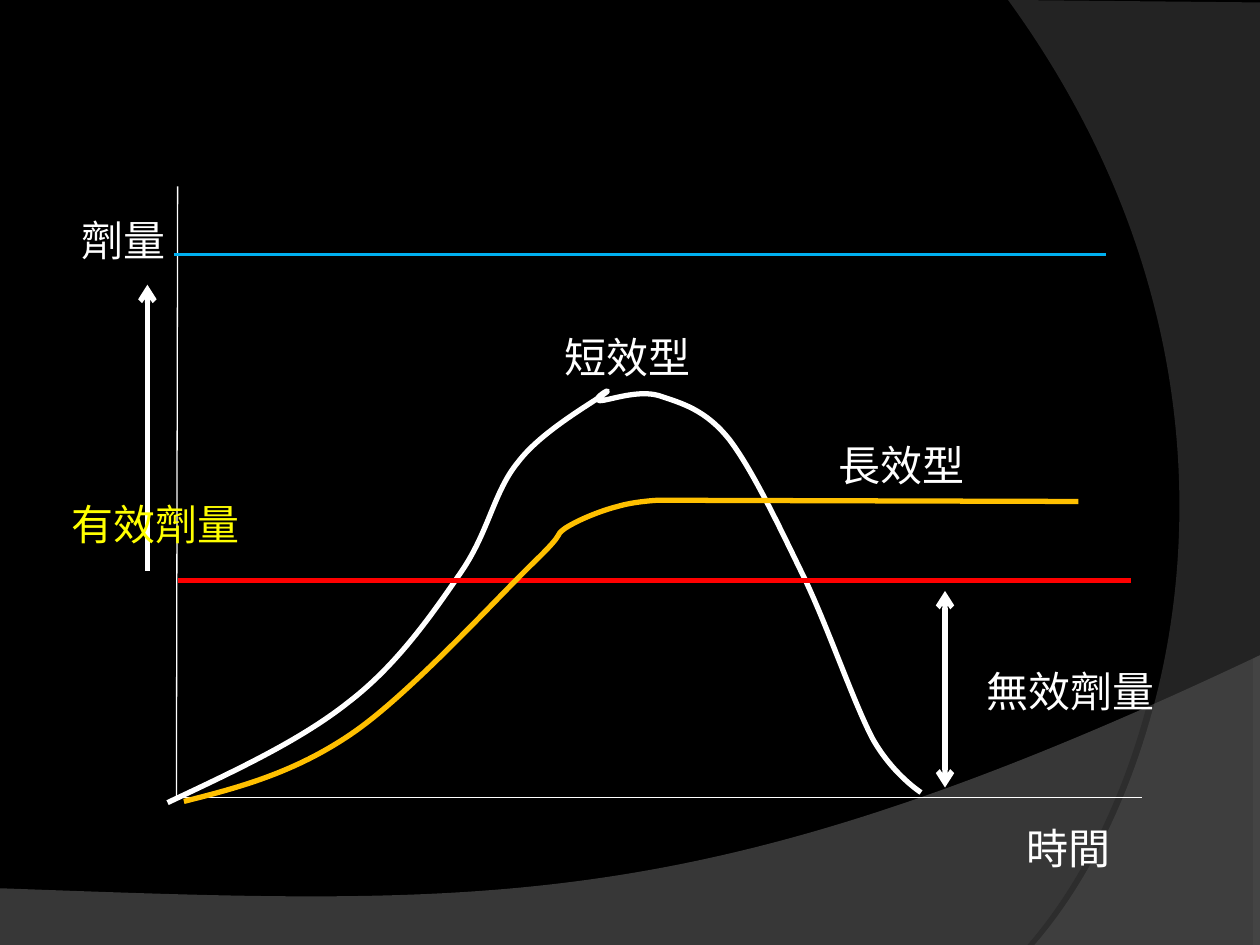
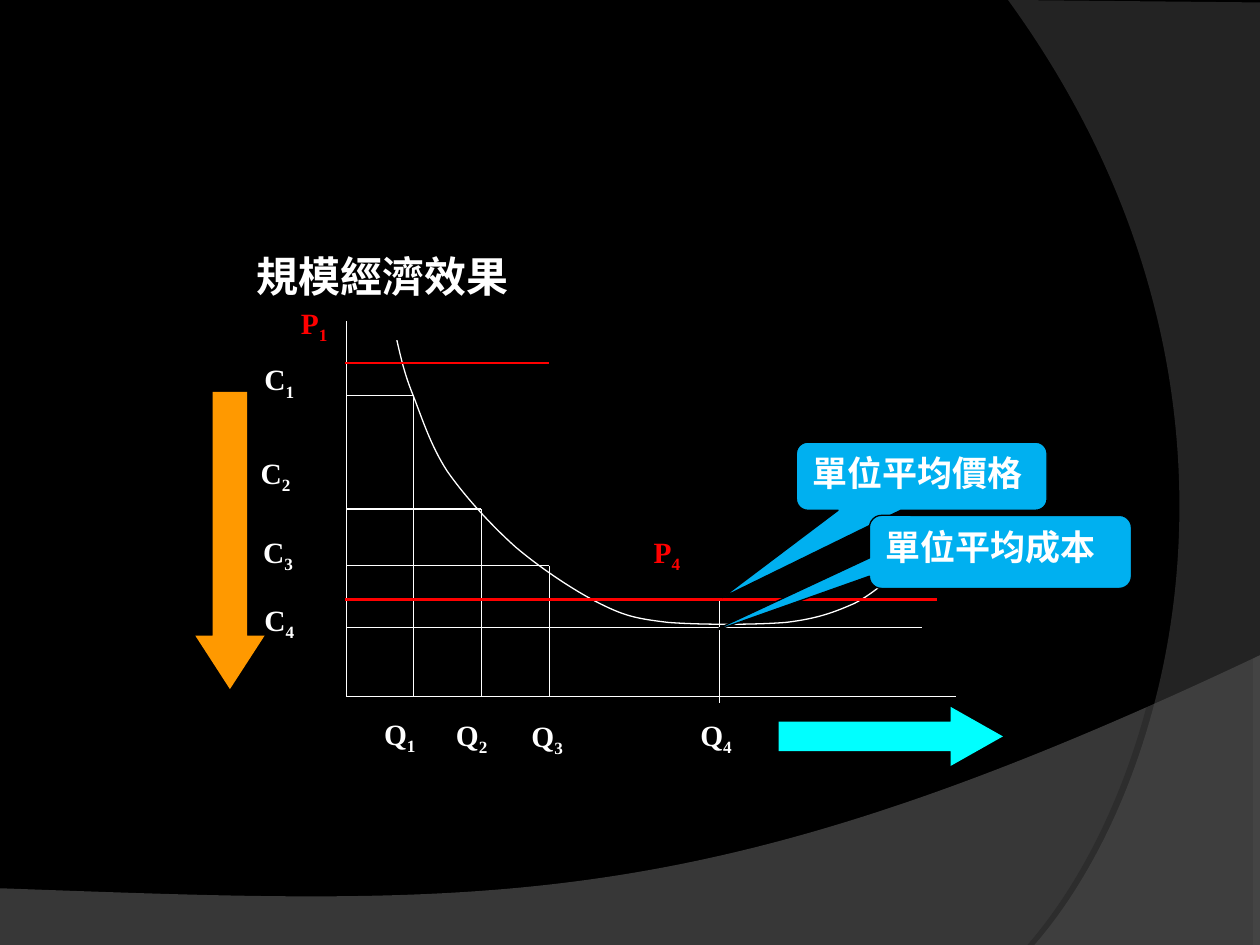
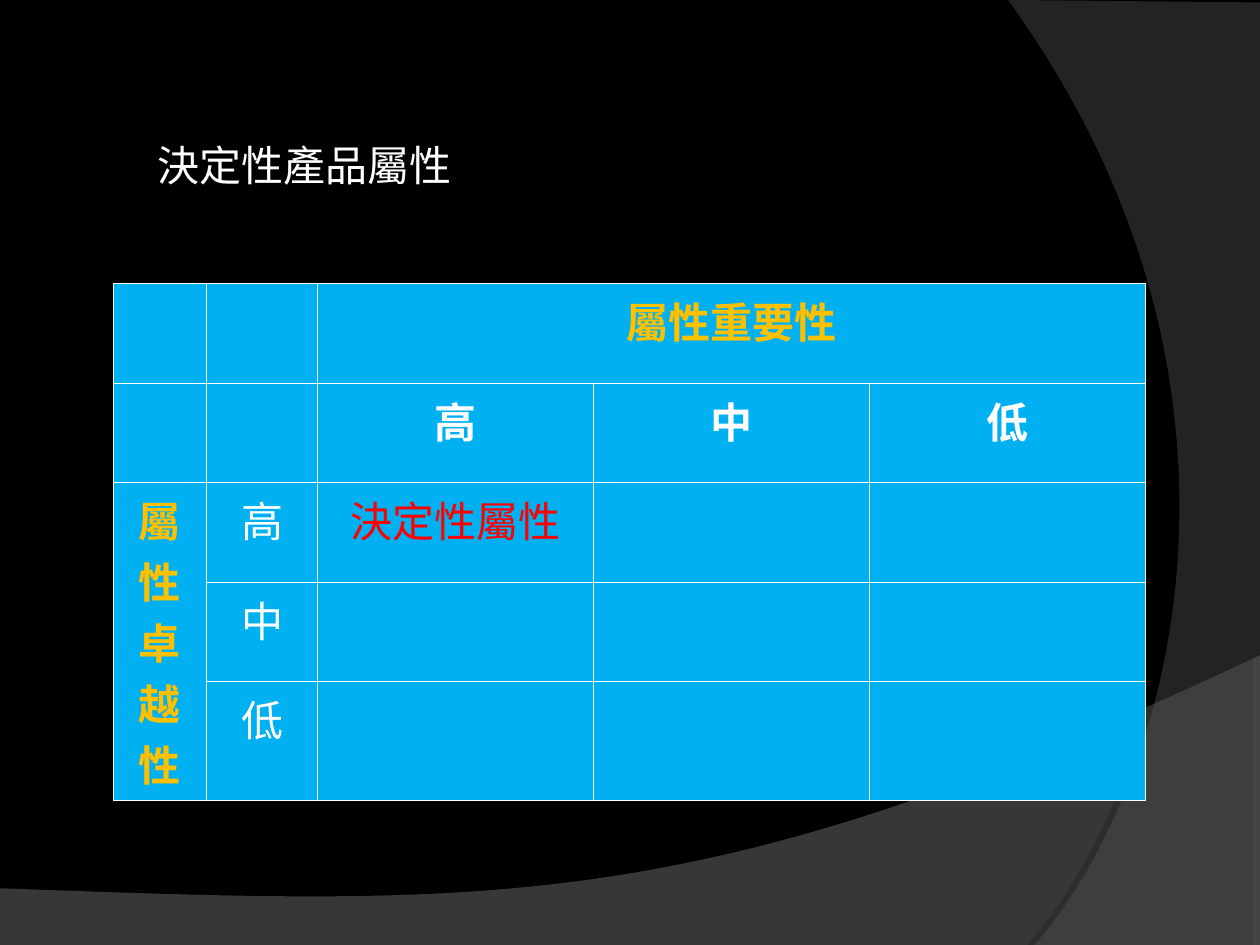
from lxml import etree
from pptx import Presentation
from pptx.dml.color import RGBColor
from pptx.enum.shapes import MSO_CONNECTOR, MSO_SHAPE
from pptx.enum.text import MSO_ANCHOR, PP_ALIGN
from pptx.oxml.ns import qn
from pptx.util import Pt

PX = 9144  # 100 px to the inch
STRAIGHT = MSO_CONNECTOR.STRAIGHT
RIGHT_ARROW, DOWN_ARROW = MSO_SHAPE.RIGHT_ARROW, MSO_SHAPE.DOWN_ARROW
CALLOUT = MSO_SHAPE.ROUNDED_RECTANGULAR_CALLOUT
TOP, LEFT, CENTER = MSO_ANCHOR.TOP, PP_ALIGN.LEFT, PP_ALIGN.CENTER
CJK_FONT, SYMBOL_FONT = "Noto Sans CJK SC", "Times New Roman"
BLACK, WHITE, RED, YELLOW = "000000", "FFFFFF", "FF0000", "FFFF00"
GOLD, SKY, ORANGE, CYAN = "FFC000", "00B0F0", "FF9900", "00FFFF"
rgb = RGBColor.from_string


def add_outline(slide, start, segments, colour=None, width=0.75):
    """Draw segments of one point (a line) or three (a cubic curve); without colour, close it."""
    builder = slide.shapes.build_freeform(*start, scale=PX)
    builder.add_line_segments([point for segment in segments for point in segment],
                              close=colour is None)
    outline = builder.convert_to_shape()
    steps = iter(list(outline._element.iter(qn("a:lnTo"))))
    for segment in segments:
        step = next(steps)
        if len(segment) == 3:
            cubic = etree.Element(qn("a:cubicBezTo"))
            step.addprevious(cubic)
            for corner in (step, next(steps), next(steps)):
                cubic.append(corner[0])
                corner.getparent().remove(corner)
    outline.shadow.inherit = False
    if colour is None:
        outline.line.fill.background()
    else:
        outline.fill.background()
        outline.line.color.rgb = rgb(colour)
        outline.line.width = Pt(width)
    return outline


def add_line(slide, x1, y1, x2, y2, colour=WHITE, width=0.75, arrow_ends=()):
    line = slide.shapes.add_connector(STRAIGHT, x1 * PX, y1 * PX, x2 * PX, y2 * PX)
    line.line.color.rgb = rgb(colour)
    line.line.width = Pt(width)
    for end in arrow_ends:
        etree.SubElement(line.line._get_or_add_ln(), qn(f"a:{end}"), type="arrow")
    etree.SubElement(line._element.spPr, qn("a:effectLst"))


prs = Presentation()
prs.slide_width, prs.slide_height = 1000 * PX, 750 * PX
master = prs.slide_master
master.background.fill.solid()
master.background.fill.fore_color.rgb = rgb(BLACK)
for root in (prs.element, master.element):
    for east_asian in root.iter(qn("a:ea")):
        east_asian.set("typeface", CJK_FONT)

dose, scale_economy, attributes = [
    prs.slides.add_slide(prs.slide_layouts[6]) for _ in range(3)]

# Bands on the master: start, segments, colour, opacity %, shadow opacity %, distance, angle
bands = [
    ((0, 705), [[(0, 751)], [(1000, 751)], [(1000, 520)],
                [(559, 729), (391, 719), (0, 705)]], "7C7C7C", 45, 35, 3.5, 270),
    ((1000, 2), [[(1000, 750)], [(821, 750)],
                 [(935, 619), (1018, 300), (800, 0)]], "595959", 40, 45, 4, 180),
]
for number, (start, segments, colour, opacity, shade, distance, angle) in enumerate(bands):
    band = add_outline(dose, start, segments)
    band.fill.solid()
    band.fill.fore_color.rgb = rgb(colour)
    properties = band._element.spPr
    tint = properties.find(f"{qn('a:solidFill')}/{qn('a:srgbClr')}")
    etree.SubElement(tint, qn("a:alpha"), val=str(opacity * 1000))
    shadow = etree.SubElement(
        properties.find(qn("a:effectLst")), qn("a:outerShdw"), blurRad="0",
        dist=str(Pt(distance)), dir=str(angle * 60000), algn="ctr", rotWithShape="0")
    shadow_colour = etree.SubElement(shadow, qn("a:srgbClr"), val=BLACK)
    etree.SubElement(shadow_colour, qn("a:alpha"), val=str(shade * 1000))
    band._element.nvSpPr.cNvPr.set("id", str(100 + number))
    master.shapes._spTree.append(band._element)

# Slide 1: axes, dose curves, limits and ranges
short_acting = [
    [(186, 612), (238, 588), (277, 557)], [(316, 527), (344, 486), (366, 454)],
    [(388, 422), (392, 390), (411, 367)], [(429, 343), (468, 321), (479, 313)],
    [(490, 305), (468, 317), (476, 318)], [(483, 318), (506, 309), (523, 314)],
    [(541, 320), (560, 325), (579, 349)], [(598, 374), (620, 421), (639, 460)],
    [(658, 500), (678, 559), (693, 587)], [(709, 615), (731, 629), (731, 629)]]
long_acting = [
    [(190, 625), (235, 613), (281, 581)], [(327, 549), (396, 473), (424, 446)],
    [(452, 419), (438, 427), (449, 419)], [(460, 412), (478, 405), (490, 402)],
    [(503, 398), (522, 397), (522, 397)], [(856, 398)]]
add_line(dose, 141, 148, 140, 633)
add_line(dose, 141, 633, 906, 633)
add_outline(dose, (133, 637), short_acting, WHITE, 3)
add_line(dose, 141, 461, 898, 461, RED, 3)
add_outline(dose, (146, 636), long_acting, GOLD, 3)
add_line(dose, 117, 453, 117, 226, WHITE, 3, ["tailEnd"])
add_line(dose, 750, 469, 750, 625, WHITE, 3, ["headEnd", "tailEnd"])
add_line(dose, 138, 202, 878, 202, SKY, 2.25)

# Slide 2: trends, axes, average cost, cost steps and price levels
for preset, x, y, width, height, head, colour in [
        (RIGHT_ARROW, 618, 561, 178, 47, 0.885, CYAN),
        (DOWN_ARROW, 155, 311, 55, 236, 0.771, ORANGE)]:
    trend = scale_economy.shapes.add_shape(preset, x * PX, y * PX, width * PX, height * PX)
    trend.adjustments[0], trend.adjustments[1] = 0.5, head
    trend.fill.solid()
    trend.fill.fore_color.rgb = rgb(colour)
    trend.line.fill.background()
    trend.shadow.inherit = False

average_cost = [
    [(318, 283), (321, 297), (328, 314)], [(335, 332), (342, 354), (355, 374)],
    [(369, 394), (389, 416), (409, 434)], [(429, 451), (456, 469), (476, 479)],
    [(496, 489), (505, 491), (530, 494)], [(555, 496), (600, 496), (624, 494)],
    [(649, 491), (662, 486), (678, 479)], [(694, 471), (712, 454), (718, 449)]]
axis_x, axis_y = 275, 553
add_line(scale_economy, axis_x, 255, axis_x, axis_y)
add_line(scale_economy, axis_x, axis_y, 759, axis_y)
add_outline(scale_economy, (315, 270), average_cost, WHITE)
add_line(scale_economy, axis_x, 498, 732, 498)
for quantity_x, cost_y in [(328, 314), (382, 404), (436, 449)]:
    add_line(scale_economy, axis_x, cost_y, quantity_x, cost_y)
    add_line(scale_economy, quantity_x, cost_y, quantity_x, axis_y)
add_line(scale_economy, 571, 476, 571, 558)
for price_y, end_x in [(476, 744), (288, 436)]:
    add_line(scale_economy, 274, price_y, end_x, price_y, RED, 1.5)

for text, x, y, width, height, tip_x, tip_y in [
        ("單位平均價格", 632, 351, 199, 54, -0.795, 1.783),
        ("單位平均成本", 690, 409, 208, 58, -1.117, 1.116)]:
    callout = scale_economy.shapes.add_shape(CALLOUT, x * PX, y * PX, width * PX, height * PX)
    for index, value in enumerate((tip_x, tip_y, 0.167)):
        callout.adjustments[index] = value
    callout.fill.solid()
    callout.fill.fore_color.rgb = rgb(SKY)
    callout.line.color.rgb = rgb(BLACK)
    callout.line.width = Pt(0.75)
    callout.shadow.inherit = False
    callout.text_frame.vertical_anchor = TOP
    paragraph = callout.text_frame.paragraphs[0]
    paragraph.text = text
    paragraph.alignment = LEFT
    font = paragraph.font
    font.name, font.size, font.bold = CJK_FONT, Pt(20), True
    font.color.rgb = rgb(WHITE)

for letter, number, x, y, colour in [
        ("Q", "1", 295, 566, WHITE), ("Q", "2", 352, 567, WHITE),
        ("Q", "3", 412, 568, WHITE), ("Q", "4", 546, 567, WHITE),
        ("C", "1", 200, 285, WHITE), ("C", "2", 197, 359, WHITE),
        ("C", "3", 199, 422, WHITE), ("C", "4", 200, 476, WHITE),
        ("P", "1", 229, 240, RED), ("P", "4", 509, 422, RED)]:
    symbol = scale_economy.shapes.add_textbox(x * PX, y * PX, 67 * PX, 45 * PX)
    symbol.text_frame.word_wrap = True
    paragraph = symbol.text_frame.paragraphs[0]
    paragraph.line_spacing = 0.8
    font = paragraph.font
    font.name, font.size, font.bold = SYMBOL_FONT, Pt(16.8), True
    font.color.rgb = rgb(colour)
    paragraph.add_run().text = letter
    subscript = paragraph.add_run()
    subscript.text = number
    subscript._r.get_or_add_rPr().set("baseline", "-25000")

# Slide 3: importance against superiority
column_widths = [74, 88, 219, 219, 219]
row_heights = [79, 79, 79, 79, 94]
cell_texts = {
    (0, 2): ("屬性重要性", GOLD, True),
    (1, 2): ("高", WHITE, True), (1, 3): ("中", WHITE, True), (1, 4): ("低", WHITE, True),
    (2, 0): ("屬\n性\n卓\n越\n性", GOLD, True),
    (2, 1): ("高", WHITE, False), (3, 1): ("中", WHITE, False), (4, 1): ("低", WHITE, False),
    (2, 2): ("決定性屬性", RED, False),
}
matrix = attributes.shapes.add_table(
    len(row_heights), len(column_widths), 90 * PX, 225 * PX,
    sum(column_widths) * PX, sum(row_heights) * PX).table
for column, width in zip(matrix.columns, column_widths):
    column.width = width * PX
for row, height in zip(matrix.rows, row_heights):
    row.height = height * PX
matrix.cell(0, 2).merge(matrix.cell(0, 4))
matrix.cell(2, 0).merge(matrix.cell(4, 0))
for row in range(len(row_heights)):
    for column in range(len(column_widths)):
        cell = matrix.cell(row, column)
        cell.fill.solid()
        cell.fill.fore_color.rgb = rgb(SKY)
        for index, side in enumerate(("lnL", "lnR", "lnT", "lnB")):
            border = etree.Element(qn(f"a:{side}"), w=str(Pt(0.45)))
            border_fill = etree.SubElement(border, qn("a:solidFill"))
            etree.SubElement(border_fill, qn("a:srgbClr"), val=WHITE)
            cell._tc.get_or_add_tcPr().insert(index, border)
        if (row, column) in cell_texts:
            text, colour, bold = cell_texts[row, column]
            cell.text_frame.text = text
            for paragraph in cell.text_frame.paragraphs:
                paragraph.alignment = CENTER
                font = paragraph.font
                font.name, font.size, font.bold = CJK_FONT, Pt(24), bold
                font.color.rgb = rgb(colour)

# Headings and graph labels
for slide, text, x, y, width, colour, bold in [
        (dose, "劑量", 55, 165, 117, WHITE, False),
        (dose, "無效劑量", 773, 523, 172, WHITE, False),
        (dose, "時間", 805, 648, 102, WHITE, False),
        (dose, "長效型", 656, 344, 133, WHITE, False),
        (dose, "短效型", 438, 258, 133, WHITE, False),
        (dose, "有效劑量", 47, 391, 172, YELLOW, False),
        (scale_economy, "規模經濟效果", 194, 194, 438, WHITE, True),
        (attributes, "決定性產品屬性", 115, 106, 253, WHITE, False)]:
    label = slide.shapes.add_textbox(x * PX, y * PX, width * PX, 50 * PX)
    label.text_frame.word_wrap = slide is not attributes
    paragraph = label.text_frame.paragraphs[0]
    paragraph.text = text
    font = paragraph.font
    font.name, font.size, font.bold = CJK_FONT, Pt(24), bold
    font.color.rgb = rgb(colour)

prs.save("out.pptx")
